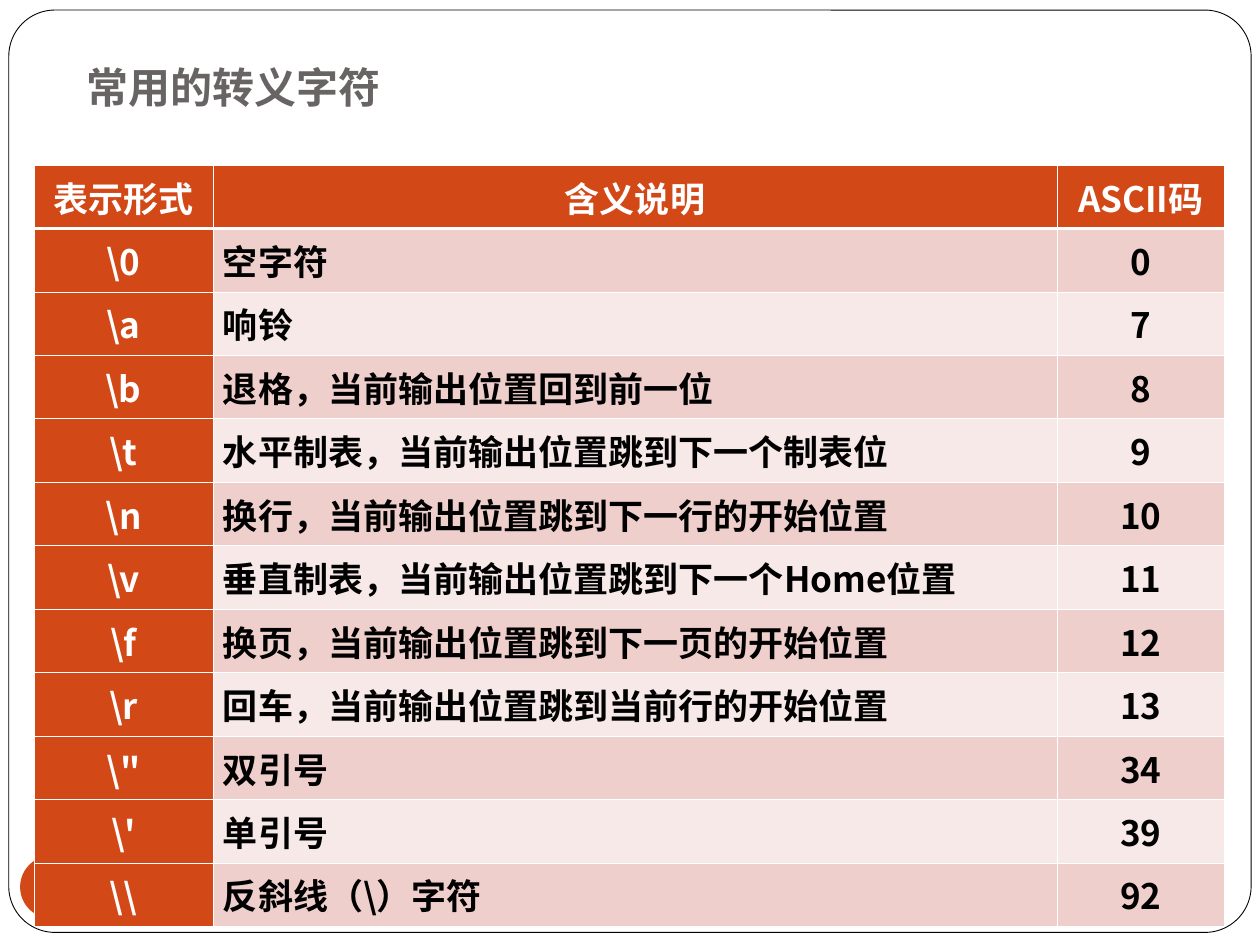
from lxml.etree import SubElement
from pptx import Presentation
from pptx.dml.color import RGBColor
from pptx.enum.shapes import MSO_SHAPE as SHAPE
from pptx.enum.text import MSO_ANCHOR as ANCHOR, MSO_AUTO_SIZE as AUTO, PP_ALIGN as ALIGN
from pptx.oxml.ns import qn
from pptx.util import Inches, Pt

ORANGE = RGBColor(0xD3, 0x48, 0x17)
GREY = RGBColor(0x69, 0x64, 0x64)
WHITE = RGBColor(0xFF, 0xFF, 0xFF)
BLACK = RGBColor(0x00, 0x00, 0x00)
BANDS = [RGBColor(0xEF, 0xCF, 0xCC), RGBColor(0xF7, 0xE9, 0xE7)]
THIN, THICK = 0.45, 1.47

HEADER = ("表示形式", "含义说明", "ASCII码")
ESCAPES = [
    (r"\0", "空字符", "0"),
    (r"\a", "响铃", "7"),
    (r"\b", "退格，当前输出位置回到前一位", "8"),
    (r"\t", "水平制表，当前输出位置跳到下一个制表位", "9"),
    (r"\n", "换行，当前输出位置跳到下一行的开始位置", "10"),
    (r"\v", "垂直制表，当前输出位置跳到下一个Home位置", "11"),
    (r"\f", "换页，当前输出位置跳到下一页的开始位置", "12"),
    (r"\r", "回车，当前输出位置跳到当前行的开始位置", "13"),
    (r"\"", "双引号", "34"),
    (r"\'", "单引号", "39"),
    (r"\\", r"反斜线（\）字符", "92"),
]


class SlideBuilder:
    """Holds the text style and the current slide; lengths are grid units."""

    font = "Noto Sans CJK SC"
    columns, rows = 10, 7.5

    def __init__(self, prs):
        prs.slide_width, prs.slide_height = Inches(self.columns), Inches(self.rows)
        self.slide = prs.slides.add_slide(prs.slide_layouts[5])

    def add_text(self, tf, text, size, color, align):
        p = tf.paragraphs[0]
        p.alignment = align
        r = p.add_run()
        r.text = text
        r.font.name, r.font.size, r.font.bold = self.font, Pt(size), True
        r.font.color.rgb = color
        SubElement(r.font._element, qn("a:ea"), typeface=self.font)

    def title(self, text, box):
        sp = self.slide.shapes.title
        sp.left, sp.top, sp.width, sp.height = map(Inches, box)
        tf = sp.text_frame
        tf.auto_size, tf.vertical_anchor = AUTO.NONE, ANCHOR.BOTTOM
        tf.margin_left = tf.margin_right = tf.margin_bottom = Inches(0.1)
        tf.margin_top = Inches(0.05)
        self.add_text(tf, text, 24, GREY, ALIGN.LEFT)

    def shape(self, kind, box, fill, line=None):
        sp = self.slide.shapes.add_shape(kind, *map(Inches, box))
        sp.shadow.inherit = False
        sp.fill.solid()
        sp.fill.fore_color.rgb = fill
        if line is None:
            sp.line.fill.background()
        else:
            sp.line.color.rgb, sp.line.width = line, Pt(0.5)
        return sp

    def panel(self, box):
        sp = self.shape(SHAPE.ROUNDED_RECTANGLE, box, WHITE, BLACK)
        sp.adjustments[0] = 0.05
        self.slide.shapes._spTree.insert(2, sp._element)  # behind the title

    def cell(self, cell, text, fill, color, align, top, bottom):
        cell.margin_left = cell.margin_right = Inches(0.08)
        cell.margin_top = cell.margin_bottom = Inches(0.05)
        tcPr = cell._tc.get_or_add_tcPr()
        for side, width in zip("LRTB", (THIN, THIN, top, bottom)):
            ln = SubElement(tcPr, qn(f"a:ln{side}"), w=str(int(Pt(width))))
            SubElement(SubElement(ln, qn("a:solidFill")), qn("a:srgbClr"), val=str(WHITE))
        cell.fill.solid()
        cell.fill.fore_color.rgb = fill
        self.add_text(cell.text_frame, text, 20, color, align)

    def table(self, data, left, top, widths, row_height):
        frame = self.slide.shapes.add_table(
            len(data), len(widths), Inches(left), Inches(top),
            Inches(sum(widths)), Inches(row_height * len(data)))
        table = frame.table
        for column, width in zip(table.columns, widths):
            column.width = Inches(width)
        for i, values in enumerate(data):
            table.rows[i].height = Inches(row_height)
            for j, text in enumerate(values):
                heading = i == 0 or j == 0
                self.cell(table.cell(i, j), text,
                          fill=ORANGE if heading else BANDS[(i - 1) % 2],
                          color=WHITE if heading else BLACK,
                          align=ALIGN.JUSTIFY if i and j == 1 else ALIGN.CENTER,
                          top=THICK if i == 1 else THIN,
                          bottom=THICK if i == 0 else THIN)


def main():
    prs = Presentation()
    builder = SlideBuilder(prs)
    # Frame and title
    builder.panel((0.07, 0.08, 9.86, 7.32))
    builder.title("常用的转义字符", (0.59, 0.36, 9, 0.63))
    # Page-number disc, partly under the table
    builder.shape(SHAPE.OVAL, (0.16, 6.79, 0.5, 0.5), ORANGE)
    # Escape characters; rows grow to fit the text
    builder.table([HEADER, *ESCAPES], 0.27, 1.31, (1.42, 6.7, 1.33), 0.39)
    prs.save("out.pptx")


if __name__ == "__main__":
    main()
